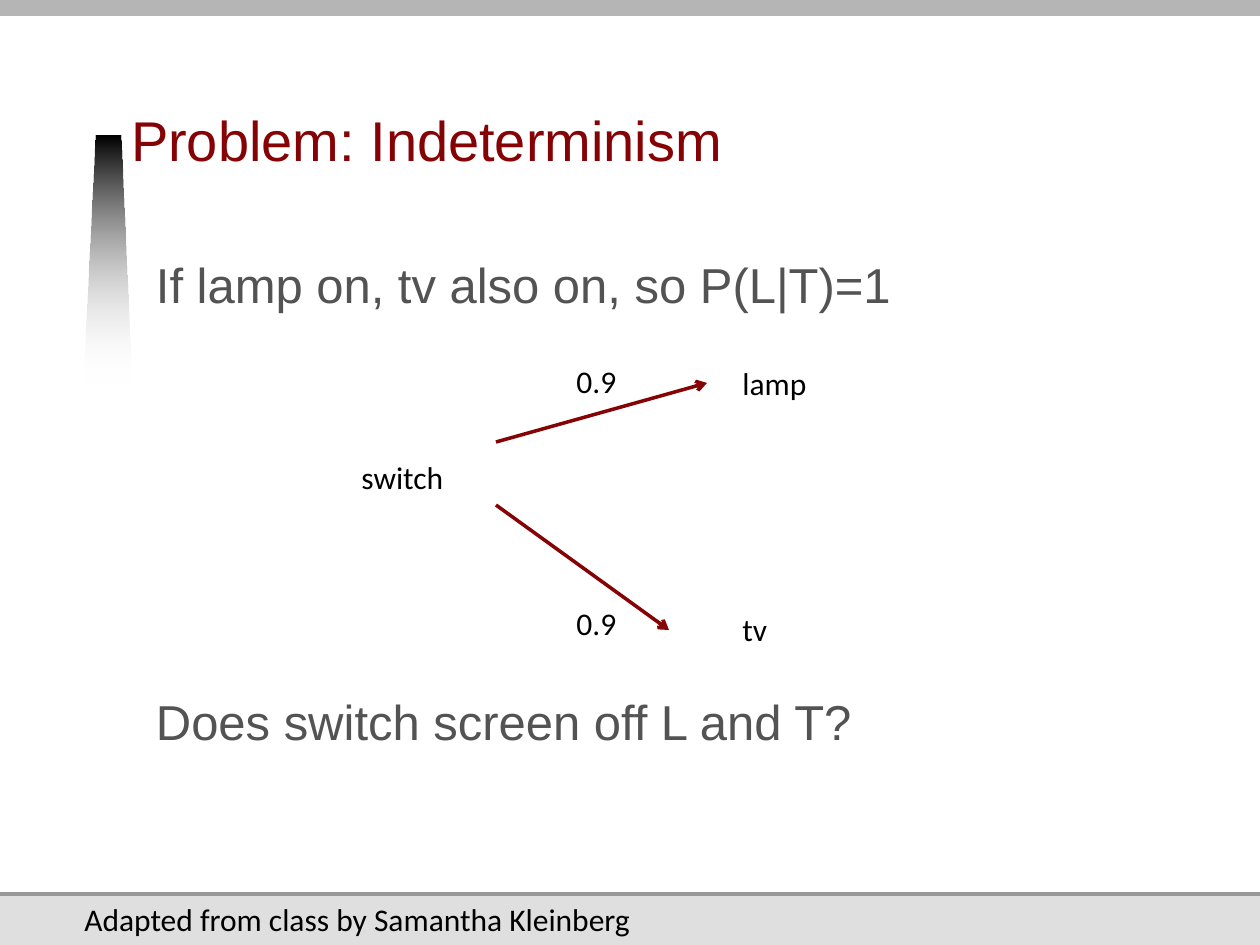
from lxml.etree import SubElement
from pptx import Presentation
from pptx.dml.color import RGBColor
from pptx.enum.shapes import MSO_CONNECTOR, MSO_SHAPE
from pptx.enum.text import MSO_ANCHOR
from pptx.oxml.ns import qn
from pptx.util import Pt

PX = 914400 / 126
WIDTH, HEIGHT = 1260, 945

COLORS = {
    "accent": "850205", "body": "535353", "label": "000000",
    "top": "B5B5B5", "rule": "989898", "footer": "DFDFDF", "page": "FFFFFF",
    "wedge start": "000000", "wedge end": "FFFFFF",
}

# color, left, top, width, height; each panel covers part of the one before
PANELS = [
    ("footer", 0, 0, WIDTH, HEIGHT),
    ("rule", 0, 224, WIDTH, 672),
    ("page", 0, 0, WIDTH, 892),
    ("rule", 0, 0, 995, 14),
]
TOP_BAR = ("top", 0, -5, 1281, 21)
WEDGE = [(84, 384), (96, 136), (121, 136), (132, 384)]

# text, left, top, width, height
TITLE = ("Problem: Indeterminism", 131, 43, 866, 136)
STATEMENTS = [
    ("If lamp on, tv also on, so P(L|T)=1", 156, 255, 971, 70),
    ("Does switch screen off L and T?", 156, 691, 971, 70),
]
LABELS = [
    ("switch", 349, 452, 108, 50),
    ("lamp", 730, 358, 91, 50),
    ("tv", 730, 604, 50, 50),
    ("0.9", 564, 356, 66, 50),
    ("0.9", 564, 598, 66, 50),
    ("Adapted from class by Samantha Kleinberg", 72, 894, 579, 50),
]
# start x, start y, end x, end y
ARROWS = [(496, 442, 707, 383), (496, 505, 669, 630)]

FLUSH = {"margin_left": 0, "margin_right": 0, "margin_top": 0,
         "margin_bottom": Pt(3.6), "word_wrap": True}
TITLE_STYLE = {"font": ("Arial", 32, "accent"),
               "frame": {**FLUSH, "vertical_anchor": MSO_ANCHOR.BOTTOM},
               "paragraph": {"line_spacing": Pt(34)}}
BODY_STYLE = {"font": ("Arial", 28, "body"), "frame": FLUSH,
              "paragraph": {"space_after": Pt(8)}}
LABEL_STYLE = {"font": ("Calibri", 18, "label"),
               "frame": {"word_wrap": False}, "paragraph": {}}


def emu(*lengths):
    return [round(length * PX) for length in lengths]


def rgb(name):
    return RGBColor.from_string(COLORS[name])


def set_attributes(target, values):
    for name, value in values.items():
        setattr(target, name, value)


def add_text(slide, content, style):
    text, *box = content
    frame = slide.shapes.add_textbox(*emu(*box)).text_frame
    set_attributes(frame, style["frame"])
    paragraph = frame.paragraphs[0]
    set_attributes(paragraph, style["paragraph"])
    run = paragraph.add_run()
    run.text = text
    name, size, color = style["font"]
    set_attributes(run.font, {"name": name, "size": Pt(size)})
    run.font.color.rgb = rgb(color)


def add_panel(slide, color, *box):
    panel = slide.shapes.add_shape(MSO_SHAPE.RECTANGLE, *emu(*box))
    panel.shadow.inherit = False
    panel.fill.solid()
    panel.fill.fore_color.rgb = rgb(color)
    panel.line.fill.background()


def add_wedge(slide):
    """Add the side wedge, which fades from black to fully transparent."""
    start, *others = [emu(*point) for point in WEDGE]
    builder = slide.shapes.build_freeform(*start)
    builder.add_line_segments(others, close=True)
    wedge = builder.convert_to_shape()
    wedge.shadow.inherit = False
    wedge.line.fill.background()
    wedge.fill.gradient()
    wedge.fill.gradient_angle = 270
    for stop, color in zip(wedge.fill.gradient_stops, ("wedge start", "wedge end")):
        stop.color.rgb = rgb(color)
    last_color = wedge.element.spPr.findall(".//" + qn("a:srgbClr"))[-1]
    SubElement(last_color, qn("a:alpha"), val="0")


def add_arrow(slide, points):
    arrow = slide.shapes.add_connector(MSO_CONNECTOR.STRAIGHT, *emu(*points))
    arrow.line.color.rgb = rgb("accent")
    arrow.line.width = Pt(2)
    SubElement(arrow.line._get_or_add_ln(), qn("a:tailEnd"), type="arrow")
    SubElement(arrow.element.spPr, qn("a:effectLst"))


def main():
    presentation = Presentation()
    presentation.slide_width, presentation.slide_height = emu(WIDTH, HEIGHT)
    slide = presentation.slides.add_slide(presentation.slide_layouts[6])
    for panel in PANELS:
        add_panel(slide, *panel)
    add_wedge(slide)
    add_panel(slide, *TOP_BAR)
    add_text(slide, TITLE, TITLE_STYLE)
    for statement in STATEMENTS:
        add_text(slide, statement, BODY_STYLE)
    for arrow in ARROWS:
        add_arrow(slide, arrow)
    for label in LABELS:
        add_text(slide, label, LABEL_STYLE)
    presentation.save("out.pptx")


if __name__ == "__main__":
    main()
